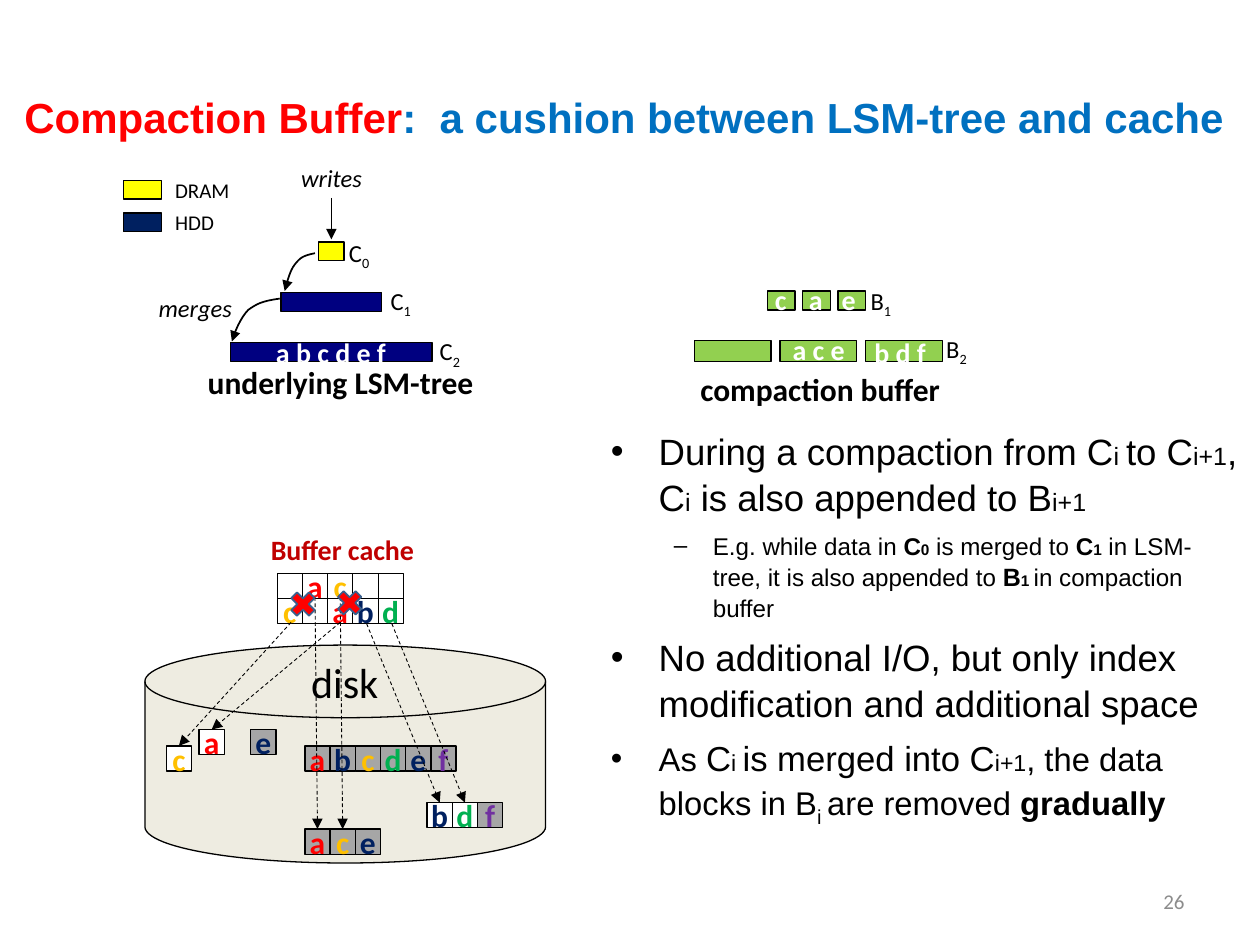
from lxml.etree import SubElement
from pptx import Presentation
from pptx.dml.color import RGBColor
from pptx.enum.dml import MSO_LINE
from pptx.enum.shapes import MSO_CONNECTOR, MSO_SHAPE
from pptx.enum.text import MSO_ANCHOR, PP_ALIGN
from pptx.oxml.ns import qn
from pptx.util import Inches, Pt

color = RGBColor.from_string
LETTERS = {"a": "FF0000", "b": "002060", "c": "FFC000",
           "d": "00B050", "e": "002060", "f": "7030A0"}
CELL = 0.2
BAR = 0.15
GRAY, WHITE, NAVY, YELLOW, GREEN = "A6A6A6", "FFFFFF", "000080", "FFFF00", "92D050"

deck = Presentation()
deck.slide_width, deck.slide_height = Inches(10), Inches(7.5)
page = deck.slides.add_slide(deck.slide_layouts[5])


def write(shape, text, size, ink, bold=False, italic=False, align=PP_ALIGN.LEFT,
          inset=(0, 0), anchor=MSO_ANCHOR.TOP, subscript=""):
    frame = shape.text_frame
    frame.word_wrap = False
    frame.vertical_anchor = anchor
    frame.margin_left = frame.margin_right = Inches(inset[0])
    frame.margin_top = frame.margin_bottom = Inches(inset[1])
    para = frame.paragraphs[0]
    para.alignment = align
    para.add_run().text = text
    if subscript:
        span = para.add_run()
        span.text = subscript
        span.font._element.set("baseline", "-25000")
    font = para.font
    font.name, font.size, font.bold, font.italic = "Calibri", Pt(size), bold, italic
    font.color.rgb = color(ink)


def add_block(x, y, width, height, fill, kind=MSO_SHAPE.RECTANGLE,
              line="000000", weight=0.75, letter=""):
    block = page.shapes.add_shape(kind, Inches(x), Inches(y), Inches(width), Inches(height))
    block.shadow.inherit = False
    if fill:
        block.fill.solid()
        block.fill.fore_color.rgb = color(fill)
    else:
        block.fill.background()
    block.line.color.rgb = color(line)
    block.line.width = Pt(weight)
    if letter:
        write(block, letter, 18, LETTERS[letter], bold=True, align=PP_ALIGN.CENTER,
              inset=(0.1, 0.05), anchor=MSO_ANCHOR.MIDDLE)


# Title
title = page.shapes.title
title.left, title.top, title.width, title.height = Inches(0), Inches(0.3), Inches(10), Inches(1.25)
title.text_frame.vertical_anchor = MSO_ANCHOR.MIDDLE
para = title.text_frame.paragraphs[0]
para.alignment = PP_ALIGN.CENTER
para.font.name, para.font.size, para.font.bold = "Arial", Pt(24), True
for text, ink in [("Compaction Buffer", "FF0000"),
                  (":  a cushion between LSM-tree and cache ", "0070C0")]:
    span = para.add_run()
    span.text = text
    span.font.color.rgb = color(ink)

# Explanation: level, bullet, runs of (text, size, bold, baseline)
points = [
    (0, "•", [("During a compaction from C", 20.9), ("i ", 14.3), ("to C", 20.9), ("i+1", 14.3),
              (", C", 20.9), ("i", 14.3), (" is also appended to B", 20.9), ("i+1", 14.3)]),
    (1, "–", [("E.g. while data in ", 13.8), ("C", 13.8, True), ("0", 8.8, True),
              (" is merged to ", 13.8), ("C", 13.8, True), ("1", 8.8, True),
              (" in LSM-tree, it is also appended to ", 13.8), ("B", 14.3, True),
              ("1 ", 8.8, True), ("in compaction buffer", 13.8)]),
    (0, "•", [("No additional I/O, but only index modification and additional space", 20.9)]),
    (0, "•", [("As ", 18.7), ("C", 19.8), ("i ", 13.2), ("is merged into C", 19.8),
              ("i+1", 13.2), (", the data blocks in B", 18.7), ("i ", 19.8, False, "-25000"),
              ("are removed ", 18.7), ("gradually", 18.7, True)]),
]
box = page.shapes.add_textbox(Inches(4.75), Inches(3.34), Inches(5.17), Inches(3.77))
frame = box.text_frame
frame.word_wrap = True
for index, (level, bullet, runs) in enumerate(points):
    para = frame.add_paragraph() if index else frame.paragraphs[0]
    para.level = level
    para.line_spacing = 1.05
    para.space_before = Pt(6 if index else 0)
    margin, hanging = [(0.38, 0.38), (0.81, 0.31)][level]
    properties = para._p.get_or_add_pPr()
    properties.set("marL", str(Inches(margin)))
    properties.set("indent", str(-Inches(hanging)))
    SubElement(properties, qn("a:buFont"), typeface="Arial")
    SubElement(properties, qn("a:buChar"), char=bullet)
    para.font.name = "Arial"
    para.font.color.rgb = color("000000")
    for text, size, *style in runs:
        span = para.add_run()
        span.text = text
        span.font.size = Pt(size)
        span.font.bold = bool(style and style[0])
        if len(style) > 1:
            span.font._element.set("baseline", style[1])

# Legend, tree levels, buffer blocks and disk
for x, y, width, height, fill in [
        (0.98, 1.43, 0.3, BAR, YELLOW), (0.98, 1.69, 0.3, BAR, "002060"),
        (2.53, 1.92, 0.2, BAR, YELLOW), (2.23, 2.32, 0.8, BAR, NAVY), (1.83, 2.72, 1.6, BAR, NAVY)]:
    add_block(x, y, width, height, fill)
for column in range(3):
    add_block(6.09 + 0.28 * column, 2.31, 0.22, BAR, GREEN)
    add_block(5.51 + 0.68 * column, 2.7, 0.61, 0.17, GREEN)
add_block(1.15, 5.12, 3.18, 1.73, "EEECE1", MSO_SHAPE.FLOWCHART_MAGNETIC_DISK)

# Data blocks on disk: start, top, letters, letters still valid (white)
for left, top, letters, valid in [
        (3.39, 6.37, "bdf", "bd"), (2.42, 5.92, "abcdef", ""), (2.42, 6.58, "ace", ""),
        (1.58, 5.79, "a", "a"), (1.99, 5.79, "e", ""), (1.32, 5.92, "c", "c")]:
    for column, letter in enumerate(letters):
        add_block(left + CELL * column, top, CELL, CELL,
                  WHITE if letter in valid else GRAY, letter=letter)

# Buffer cache frame and letters
add_block(2.2, 4.55, 1, 0.4, None, weight=0.5)
for column, row, letter in [(1, 0, "a"), (2, 0, "c"), (0, 1, "c"),
                            (2, 1, "a"), (3, 1, "b"), (4, 1, "d")]:
    box = page.shapes.add_textbox(Inches(2.2 + CELL * column), Inches(4.55 + CELL * row),
                                  Inches(CELL), Inches(CELL))
    write(box, letter, 18, LETTERS[letter], bold=True, align=PP_ALIGN.CENTER,
          anchor=MSO_ANCHOR.MIDDLE)

# Straight lines: x1, y1, x2, y2, weight, arrow, dashed
lines = [(2.2, 4.75, 3.2, 4.75, 0.5, False, False)]
lines += [(2.2 + CELL * n, 4.55, 2.2 + CELL * n, 4.95, 0.5, False, False) for n in range(1, 5)]
lines += [(2.63, 1.57, 2.63, 1.9, 1, True, False)]
lines += [(*ends, 0.5, True, True) for ends in [
    (2.31, 4.94, 1.42, 5.92), (2.7, 4.94, 1.68, 5.79), (2.91, 4.95, 3.49, 6.37),
    (3.11, 4.95, 3.69, 6.37), (2.5, 4.74, 2.52, 6.58), (2.7, 4.74, 2.72, 6.58)]]
arrows = []
for x1, y1, x2, y2, weight, arrow, dashed in lines:
    line = page.shapes.add_connector(MSO_CONNECTOR.STRAIGHT, Inches(x1), Inches(y1),
                                     Inches(x2), Inches(y2))
    line.line.color.rgb = color("000000")
    line.line.width = Pt(weight)
    if dashed:
        line.line.dash_style = MSO_LINE.DASH
    SubElement(line._element.spPr, qn("a:effectLst"))
    if arrow:
        arrows.append(line)

# Curved merge arrows, each of two Bezier segments
for knots in [
        [(2.22, 2.37), (2.08, 2.39), (2.04, 2.41), (1.97, 2.46), (1.91, 2.52), (1.86, 2.64), (1.84, 2.71)],
        [(2.5, 2.01), (2.4, 2.03), (2.38, 2.05), (2.34, 2.1), (2.3, 2.15), (2.28, 2.24), (2.26, 2.31)]]:
    curve = []
    for first in (0, 3):
        for step in range(1, 9):
            t = step / 8
            weights = ((1 - t) ** 3, 3 * t * (1 - t) ** 2, 3 * t ** 2 * (1 - t), t ** 3)
            curve.append(tuple(
                Inches(sum(w * knot[axis] for w, knot in zip(weights, knots[first:first + 4])))
                for axis in (0, 1)))
    builder = page.shapes.build_freeform(Inches(knots[0][0]), Inches(knots[0][1]))
    builder.add_line_segments(curve, close=False)
    merge = builder.convert_to_shape()
    merge.shadow.inherit = False
    merge.fill.background()
    merge.line.color.rgb = color("000000")
    merge.line.width = Pt(1)
    arrows.append(merge)
for arrow in arrows:
    SubElement(arrow._element.spPr.find(qn("a:ln")), qn("a:tailEnd"), type="triangle")

# Crosses over dropped cache entries
for x, y in [(2.27, 4.66), (2.64, 4.65)]:
    add_block(x, y, 0.27, 0.27, "FF0000", MSO_SHAPE.MATH_MULTIPLY, "3A5F8C", 1)

# Labels: x, y, width, height, text, size, colour, further formatting
bold, italic = {"bold": True}, {"italic": True}
padded = {"inset": (0.1, 0.05)}
labels = [
    (1.39, 1.41, 0.44, 0.2, "DRAM", 12, "000000", {}),
    (1.39, 1.66, 0.31, 0.2, "HDD", 12, "000000", {}),
    (2.39, 1.29, 0.49, 0.24, "writes", 14, "000000", italic),
    (1.16, 2.28, 0.79, 0.34, "merges", 14, "000000", italic | padded),
    (1.55, 2.83, 2.33, 0.4, "underlying LSM-tree", 18, "000000", bold | padded),
    (5.46, 2.89, 2.13, 0.4, "compaction buffer", 18, "000000", bold | padded),
    (2.15, 4.18, 1.16, 0.37, "Buffer cache", 16, "C00000", bold | {"inset": (0, 0.05)}),
    (2.47, 5.16, 0.54, 0.5, "disk", 24, "000000", {"inset": (0, 0.05)}),
    (2.19, 2.66, 0.89, 0.27, "a b c d e f", 16, WHITE, bold),
    (6.15, 2.24, 0.1, 0.27, "c", 16, WHITE, bold),
    (6.42, 2.24, 0.11, 0.27, "a", 16, WHITE, bold),
    (6.68, 2.24, 0.11, 0.27, "e", 16, WHITE, bold),
    (6.29, 2.64, 0.42, 0.27, "a c e", 16, WHITE, bold),
    (6.94, 2.66, 0.42, 0.27, "b d f", 16, WHITE, bold),
    (7.17, 6.95, 2.33, 0.4, "26", 12, "8C8C8C",
     padded | {"align": PP_ALIGN.RIGHT, "anchor": MSO_ANCHOR.MIDDLE}),
]
labels += [(x, y, 0.17, 0.24, name, 14, "000000", {"subscript": number})
           for x, y, name, number in [(2.77, 1.89, "C", "0"), (3.1, 2.27, "C", "1"),
                                      (3.49, 2.67, "C", "2"), (6.91, 2.27, "B", "1"),
                                      (7.51, 2.65, "B", "2")]]
for x, y, width, height, text, size, ink, style in labels:
    box = page.shapes.add_textbox(Inches(x), Inches(y), Inches(width), Inches(height))
    write(box, text, size, ink, **style)
    if text == "26":
        box.text_frame.word_wrap = True

deck.save("out.pptx")
